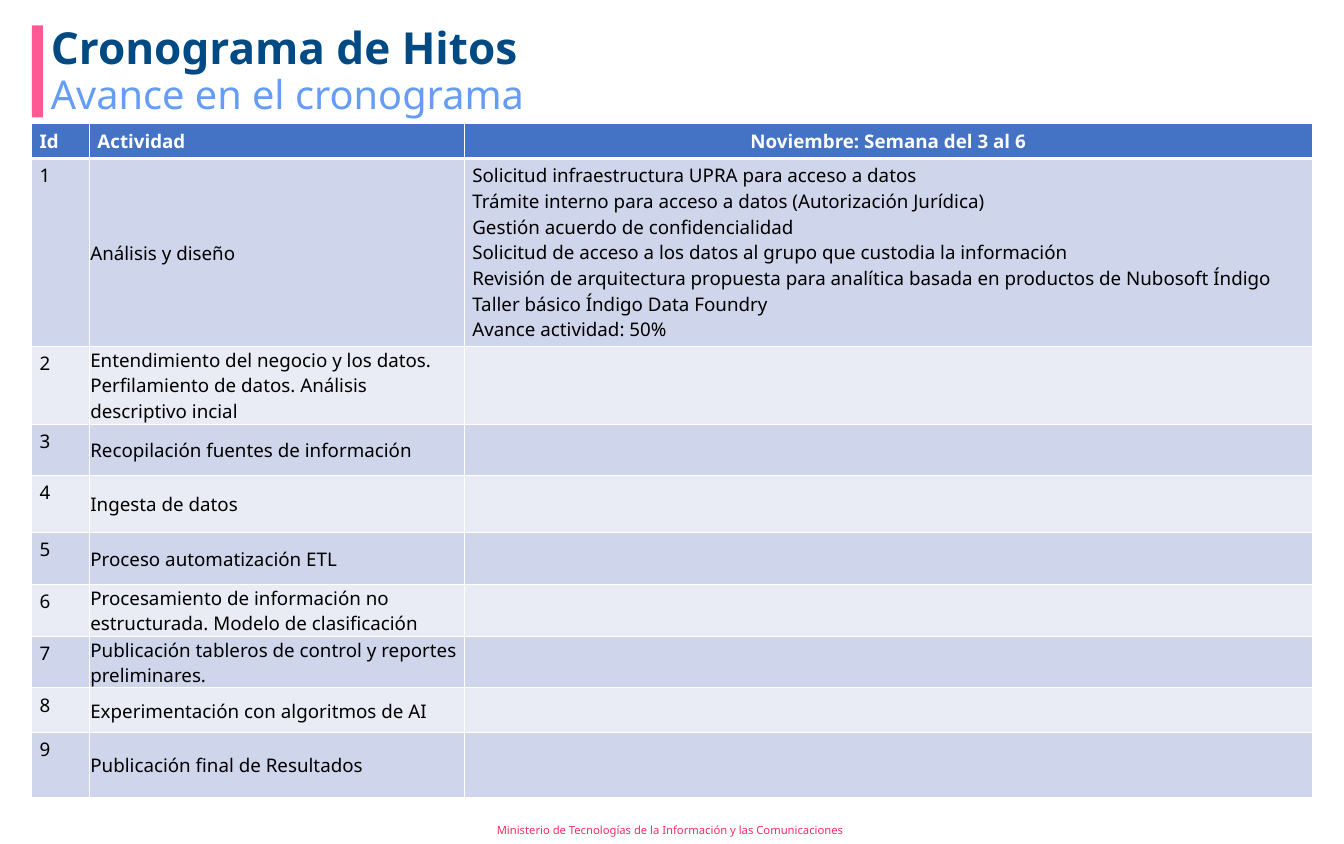
from lxml import etree
from pptx import Presentation
from pptx.dml.color import RGBColor
from pptx.enum.shapes import MSO_SHAPE
from pptx.enum.text import MSO_ANCHOR, PP_ALIGN
from pptx.oxml.ns import qn
from pptx.util import Pt

LEFT, CENTER = PP_ALIGN.LEFT, PP_ALIGN.CENTER
TOP, MIDDLE = MSO_ANCHOR.TOP, MSO_ANCHOR.MIDDLE
FONT = "Noto Sans"


def paint(color_format, color):
    color_format.rgb = RGBColor.from_string(color)


def write(frame, text, size=17, color="000000", bold=False, align=LEFT, spacing=1.0):
    frame.word_wrap = True
    for index, line in enumerate(text.split("\n")):
        paragraph = frame.paragraphs[0] if index == 0 else frame.add_paragraph()
        paragraph.alignment = align
        paragraph.line_spacing = spacing
        run = paragraph.add_run()
        run.text = line
        run.font.name = FONT
        run.font.size = Pt(size)
        run.font.bold = bold
        paint(run.font.color, color)


prs = Presentation()
prs.slide_width, prs.slide_height = Pt(1219), Pt(765.4)
slide = prs.slides.add_slide(prs.slide_layouts[6])

accent = slide.shapes.add_shape(MSO_SHAPE.RECTANGLE, Pt(28.8), Pt(23), Pt(10), Pt(83.5))
accent.shadow.inherit = False
accent.fill.solid()
paint(accent.fill.fore_color, "FF5993")
accent.line.fill.background()

captions = [
    ("Cronograma de Hitos", (39, 23, 1151, 40), 1, TOP,
     dict(size=40, color="004A84", bold=True, spacing=0.9)),
    ("Avance en el cronograma", (39, 67, 942, 54), 1, TOP,
     dict(size=36, color="649CF6", spacing=0.9)),
    ("Ministerio de Tecnologías de la Información y las Comunicaciones",
     (443.5, 740, 331, 25), 3.6, MIDDLE, dict(size=10.2, color="F42F63")),
]
for text, box, inset, anchor, style in captions:
    frame = slide.shapes.add_textbox(*[Pt(length) for length in box]).text_frame
    frame.margin_top = frame.margin_bottom = Pt(inset)
    frame.vertical_anchor = anchor
    write(frame, text, **style)

first_progress = """Solicitud infraestructura UPRA para acceso a datos
Trámite interno para acceso a datos (Autorización Jurídica)
Gestión acuerdo de confidencialidad
Solicitud de acceso a los datos al grupo que custodia la información
Revisión de arquitectura propuesta para analítica basada en productos de Nubosoft Índigo
Taller básico Índigo Data Foundry
Avance actividad: 50%"""

activities = [
    ("Análisis y diseño", 170),
    ("Entendimiento del negocio y los datos. Perfilamiento de datos. "
     "Análisis descriptivo incial", 70.6),
    ("Recopilación fuentes de información", 46.6),
    ("Ingesta de datos", 51.8),
    ("Proceso automatización ETL", 47),
    ("Procesamiento de información no estructurada. Modelo de clasificación", 47),
    ("Publicación tableros de control y reportes preliminares.", 47),
    ("Experimentación con algoritmos de AI", 40.6),
    ("Publicación final de Resultados", 58.4),
]
rows = [("Id", "Actividad", "Noviembre: Semana del 3 al 6")]
for number, (activity, height) in enumerate(activities, 1):
    rows.append((str(number), activity, first_progress if number == 1 else ""))
heights = [31.6] + [height for activity, height in activities]
widths = [52.4, 340, 769]

schedule = slide.shapes.add_table(
    len(rows), len(widths), Pt(28.8), Pt(112.4), Pt(sum(widths)), Pt(sum(heights))).table
for column, width in zip(schedule.columns, widths):
    column.width = Pt(width)
for row, height in zip(schedule.rows, heights):
    row.height = Pt(height)

for r, texts in enumerate(rows):
    header = r == 0
    for c, text in enumerate(texts):
        cell = schedule.cell(r, c)
        properties = cell._tc.get_or_add_tcPr()
        for side in ("lnL", "lnR", "lnT", "lnB"):
            thick = (r, side) in ((0, "lnB"), (1, "lnT"))
            border = etree.SubElement(properties, qn("a:" + side), w=str(Pt(3 if thick else 1)))
            solid = etree.SubElement(border, qn("a:solidFill"))
            etree.SubElement(solid, qn("a:srgbClr"), val="FFFFFF")
        cell.fill.solid()
        paint(cell.fill.fore_color, "4472C4" if header else "CFD5EA" if r % 2 else "E9EBF5")
        if c == 1 and not header:
            cell.vertical_anchor = MIDDLE
            cell.margin_left = cell.margin_right = cell.margin_top = Pt(0.75)
            cell.margin_bottom = Pt(0)
        if text:
            write(cell.text_frame, text, color="FFFFFF" if header else "000000",
                  bold=header, align=CENTER if header and c == 2 else LEFT)

prs.save("out.pptx")
